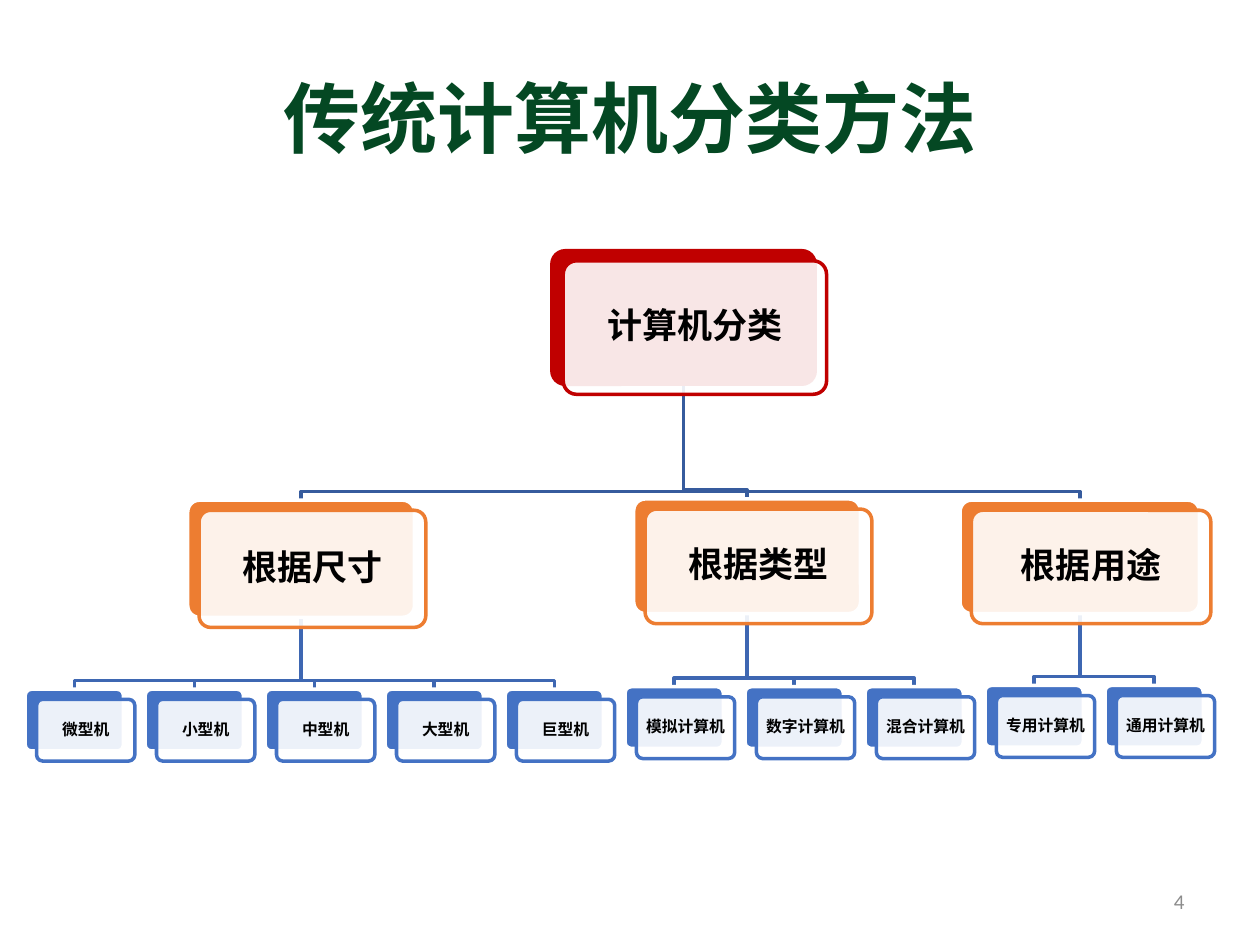
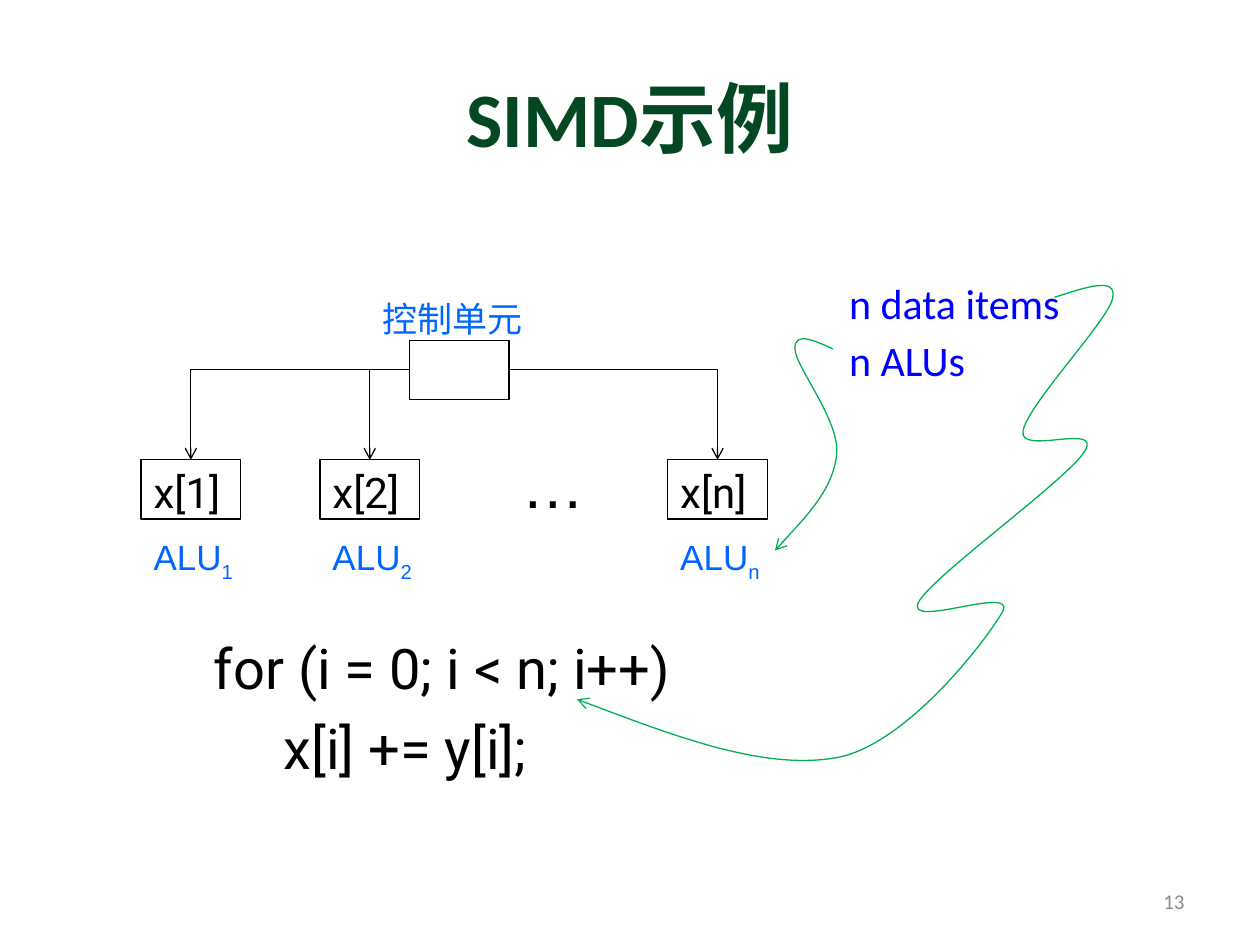
from dataclasses import dataclass

from lxml.etree import SubElement
from pptx import Presentation
from pptx.dml.color import RGBColor
from pptx.enum.shapes import MSO_CONNECTOR, MSO_SHAPE
from pptx.enum.text import MSO_ANCHOR, MSO_AUTO_SIZE, PP_ALIGN
from pptx.oxml.ns import qn
from pptx.util import Inches, Pt


@dataclass(frozen=True)
class Theme:
    title: str = "044823"
    page: str = "8C8C8C"
    ink: str = "000000"
    paper: str = "FFFFFF"
    root: str = "C00000"
    branch: str = "ED7D31"
    leaf: str = "4472C4"
    root_link: str = "365B9D"
    leaf_link: str = "3E67B2"
    label: str = "0066FF"
    note: str = "0000FF"
    curve: str = "00B050"
    font: str = "Calibri"
    cjk_font: str = "Noto Sans CJK SC"
    label_font: str = "Arial"
    code_font: str = "Roboto"
    title_size: int = 44
    ellipsis_size: int = 36
    code_size: int = 32
    body_size: int = 24
    label_size: int = 20
    page_size: int = 12
    leaf_size: int = 9
    thick: float = 2
    thin: float = 0.75


T = Theme()


@dataclass(frozen=True)
class Box:
    x: float
    y: float
    w: float
    h: float

    def inner(self, dx, dy, w, h):
        return Box(self.x + dx, self.y + dy, w, h)

    def emu(self):
        return [Inches(v) for v in (self.x, self.y, self.w, self.h)]

    @property
    def centre(self):
        return self.x + self.w / 2

    @property
    def bottom(self):
        return self.y + self.h


def write(tf, *lines, size, color=T.ink, font=T.font, bold=False,
          align=PP_ALIGN.LEFT, anchor=MSO_ANCHOR.TOP, wrap=False,
          inset=None, spacing=None, before=0, subscript=None):
    """Fill a text frame with one paragraph per line."""
    tf.word_wrap, tf.vertical_anchor = wrap, anchor
    if inset is not None:
        tf.margin_left = tf.margin_right = Inches(inset)
        tf.margin_top = tf.margin_bottom = Inches(inset)
    for i, line in enumerate(lines):
        p = tf.add_paragraph() if i else tf.paragraphs[0]
        p.alignment = align
        if spacing:
            p.line_spacing = spacing
        if i and before:
            p.space_before = Pt(before)
        for text in filter(None, (line, subscript)):
            r = p.add_run()
            r.text = text
            r.font.size, r.font.bold, r.font.name = Pt(size), bold, font
            r.font.color.rgb = RGBColor.from_string(color)
            rPr = r._r.get_or_add_rPr()
            if any(c >= "一" for c in text):
                SubElement(rPr, qn("a:ea"), typeface=T.cjk_font)
            if text is subscript:
                rPr.set("baseline", "-25000")


def add_text(s, box, *lines, grow=True, **fmt):
    tf = s.shapes.add_textbox(*box.emu()).text_frame
    write(tf, *lines, **fmt)
    tf.auto_size = MSO_AUTO_SIZE.SHAPE_TO_FIT_TEXT if grow else MSO_AUTO_SIZE.NONE


def set_line(sp, color, width, arrow=False):
    sp.line.color.rgb = RGBColor.from_string(color)
    sp.line.width = Pt(width)
    if arrow:
        SubElement(sp._element.spPr.find(qn("a:ln")), qn("a:tailEnd"), type="arrow")


def add_block(shapes, kind, box, line, width, fill=None, opacity=100):
    sp = shapes.add_shape(kind, *box.emu())
    sp.shadow.inherit = False
    if fill:
        sp.fill.solid()
        sp.fill.fore_color.rgb = RGBColor.from_string(fill)
        if opacity < 100:
            color = sp._element.spPr.find(qn("a:solidFill"))[0]
            SubElement(color, qn("a:alpha"), val=str(opacity * 1000))
    else:
        sp.fill.background()
    set_line(sp, line, width)
    return sp


def add_polyline(shapes, points, color, width, arrow=False):
    start, *rest = [(Inches(x), Inches(y)) for x, y in points]
    builder = shapes.build_freeform(*start)
    builder.add_line_segments(rest, close=False)
    sp = builder.convert_to_shape()
    sp.shadow.inherit = False
    sp.fill.background()
    set_line(sp, color, width, arrow)
    return sp


def add_curve(s, box, points):
    """Draw Bézier arcs: a start point, then two controls and an end for each."""
    points = [(box.x + x, box.y + y) for x, y in points]
    sp = add_polyline(s.shapes, points, T.curve, T.thin, arrow=True)
    outline = sp._element.spPr.find(".//" + qn("a:path"))
    segments = outline.findall(qn("a:lnTo"))
    for i in range(0, len(segments), 3):
        arc = SubElement(outline, qn("a:cubicBezTo"))
        for seg in segments[i:i + 3]:
            arc.append(seg[0])
            outline.remove(seg)


def add_arrow(s, kind, start, end):
    cx = s.shapes.add_connector(kind, *[Inches(v) for v in (*start, *end)])
    SubElement(cx._element.spPr, qn("a:effectLst"))
    set_line(cx, T.ink, T.thin, arrow=True)
    return cx


def add_frame(prs, title, page):
    """Add a blank slide with the shared title and page number."""
    s = prs.slides.add_slide(prs.slide_layouts[6])
    add_text(s, Box(0.5, 0.3, 9, 1.25), title, size=T.title_size, color=T.title,
             bold=True, align=PP_ALIGN.CENTER, anchor=MSO_ANCHOR.MIDDLE,
             wrap=True, grow=False)
    add_text(s, Box(7.17, 6.95, 2.33, 0.4), str(page), size=T.page_size,
             color=T.page, align=PP_ALIGN.RIGHT, anchor=MSO_ANCHOR.MIDDLE,
             wrap=True, grow=False)
    return s


def add_link(shapes, parent, child, color):
    turn = child.y - 0.07
    add_polyline(shapes, [(parent.centre, parent.bottom), (parent.centre, turn),
                          (child.centre, turn), (child.centre, child.y)],
                 color, T.thick)


CARD_SHIFT = (0.09, 0.08)


def add_card(shapes, box, text, color, edge=T.paper, size=T.label_size, inset=0.08):
    """Draw a coloured card with a translucent labelled card in front."""
    front_box = box.inner(*CARD_SHIFT, box.w, box.h)
    back = add_block(shapes, MSO_SHAPE.ROUNDED_RECTANGLE, box, edge, T.thick, color)
    front = add_block(shapes, MSO_SHAPE.ROUNDED_RECTANGLE, front_box, color,
                      T.thick, T.paper, opacity=90)
    for sp in (back, front):
        sp.adjustments[0] = 0.1
    write(front.text_frame, text, size=size, bold=True, align=PP_ALIGN.CENTER,
          anchor=MSO_ANCHOR.MIDDLE, wrap=True, inset=inset, spacing=0.9)


BRANCHES = [
    ("根据尺寸", (1.29, 1.98, 1.8, 0.93), 3.48,
     ["微型机", "小型机", "中型机", "大型机", "巨型机"]),
    ("根据类型", (4.83, 1.97, 1.8, 0.91), 3.46,
     ["模拟计算机", "数字计算机", "混合计算机"]),
    ("根据用途", (7.42, 1.98, 1.9, 0.9), 3.45,
     ["专用计算机", "通用计算机"]),
]


def add_classification_tree(s, box):
    shapes = s.shapes.add_group_shape().shapes
    leaf_w, leaf_h = 0.78, 0.49
    leaf_count = sum(len(names) for *_, names in BRANCHES)
    pitch = (box.w - leaf_w - CARD_SHIFT[0]) / (leaf_count - 1)
    root = box.inner(4.18, 0, 2.09, 1.06)
    branches, leaves = [], []
    for name, place, leaf_top, leaf_names in BRANCHES:
        branch = box.inner(*place)
        branches.append((branch, name))
        add_link(shapes, root, branch, T.root_link)
        for leaf_name in leaf_names:
            leaf = box.inner(len(leaves) * pitch, leaf_top, leaf_w, leaf_h)
            leaves.append((leaf, leaf_name))
            add_link(shapes, branch, leaf, T.leaf_link)
    add_card(shapes, root, "计算机分类", T.root, edge=T.root)
    for branch, name in branches:
        add_card(shapes, branch, name, T.branch)
    for leaf, name in leaves:
        add_card(shapes, leaf, name, T.leaf, size=T.leaf_size, inset=0.04)


def add_simd_units(s, box):
    """Draw the control unit, which feeds a row of ALUs."""
    unit_w, unit_h = 0.79, 0.47
    control_box = box.inner(2.13, 0.39, unit_w, unit_h)
    control = add_block(s.shapes, MSO_SHAPE.RECTANGLE, control_box, T.ink, T.thin)
    add_text(s, box.inner(1.82, 0, 1.32, 0.44), "控制单元", size=T.label_size,
             color=T.label, font=T.cjk_font)
    bus_y = control_box.y + unit_h / 2
    # Control side that feeds each unit; None branches off the left line
    for index, dx, side in (("1", 0, 1), ("2", 1.42, None), ("n", 4.18, 3)):
        unit_box = box.inner(dx, 1.34, unit_w, unit_h)
        unit = add_block(s.shapes, MSO_SHAPE.RECTANGLE, unit_box, T.ink, T.thin)
        write(unit.text_frame, f"x[{index}]", size=T.body_size, font=T.code_font)
        unit.text_frame.margin_bottom = 0
        add_text(s, box.inner(dx, 1.89, 0.85, 0.44), "ALU", subscript=index,
                 size=T.label_size, color=T.label, font=T.label_font)
        end = (unit_box.centre, unit_box.y)
        if side is None:
            cx = add_arrow(s, MSO_CONNECTOR.STRAIGHT, (unit_box.centre, bus_y), end)
        else:
            start_x = control_box.x + (unit_w if side == 3 else 0)
            cx = add_arrow(s, MSO_CONNECTOR.ELBOW, (start_x, bus_y), end)
            cx._element.spPr.find(qn("a:prstGeom")).set("prst", "bentConnector2")
            cx.begin_connect(control, side)
        cx.end_connect(unit, 0)
    add_text(s, box.inner(2.92, 1.18, 0.71, 0.71), "…", size=T.ellipsis_size,
             font=T.label_font)


def add_loop_code(s, box):
    add_text(s, box, "for (i = 0; i < n; i++)", "     x[i] += y[i];",
             size=T.code_size, font=T.code_font, before=7)


ALU_CURVE = [
    (2.03, 0.62),
    (1.88, 0.55), (1.72, 0.48), (1.73, 0.62),
    (1.73, 0.76), (2.09, 1.19), (2.06, 1.46),
    (2.03, 1.73), (1.8, 1.97), (1.57, 2.22),
]
DATA_CURVE = [
    (3.79, 0.21),
    (4.04, 0.13), (4.29, 0.04), (4.25, 0.22),
    (4.21, 0.4), (3.57, 1.07), (3.54, 1.27),
    (3.5, 1.47), (4.17, 1.2), (4.03, 1.43),
    (3.89, 1.66), (2.82, 2.42), (2.71, 2.63),
    (2.6, 2.85), (3.48, 2.49), (3.38, 2.7),
    (3.27, 2.9), (2.64, 3.74), (2.08, 3.86),
    (1.51, 3.97), (0.76, 3.69), (0, 3.4),
]


def add_notes_with_curves(s, box):
    add_text(s, box.inner(2.06, 0, 1.89, 0.99), "n data items", "n ALUs",
             size=T.body_size, color=T.note, before=4)
    for points in (ALU_CURVE, DATA_CURVE):
        add_curve(s, box, points)


def main():
    prs = Presentation()
    prs.slide_width, prs.slide_height = Inches(10), Inches(7.5)

    s = add_frame(prs, "传统计算机分类方法", 4)
    add_classification_tree(s, Box(0.2, 1.99, 9.44, 4.05))

    s = add_frame(prs, "SIMD示例", 13)
    add_simd_units(s, Box(1.12, 2.31, 5.03, 2.33))
    add_loop_code(s, Box(1.6, 4.98, 4.2, 1.28))
    add_notes_with_curves(s, Box(4.58, 2.15, 4.3, 3.97))

    prs.save("out.pptx")


if __name__ == "__main__":
    main()
